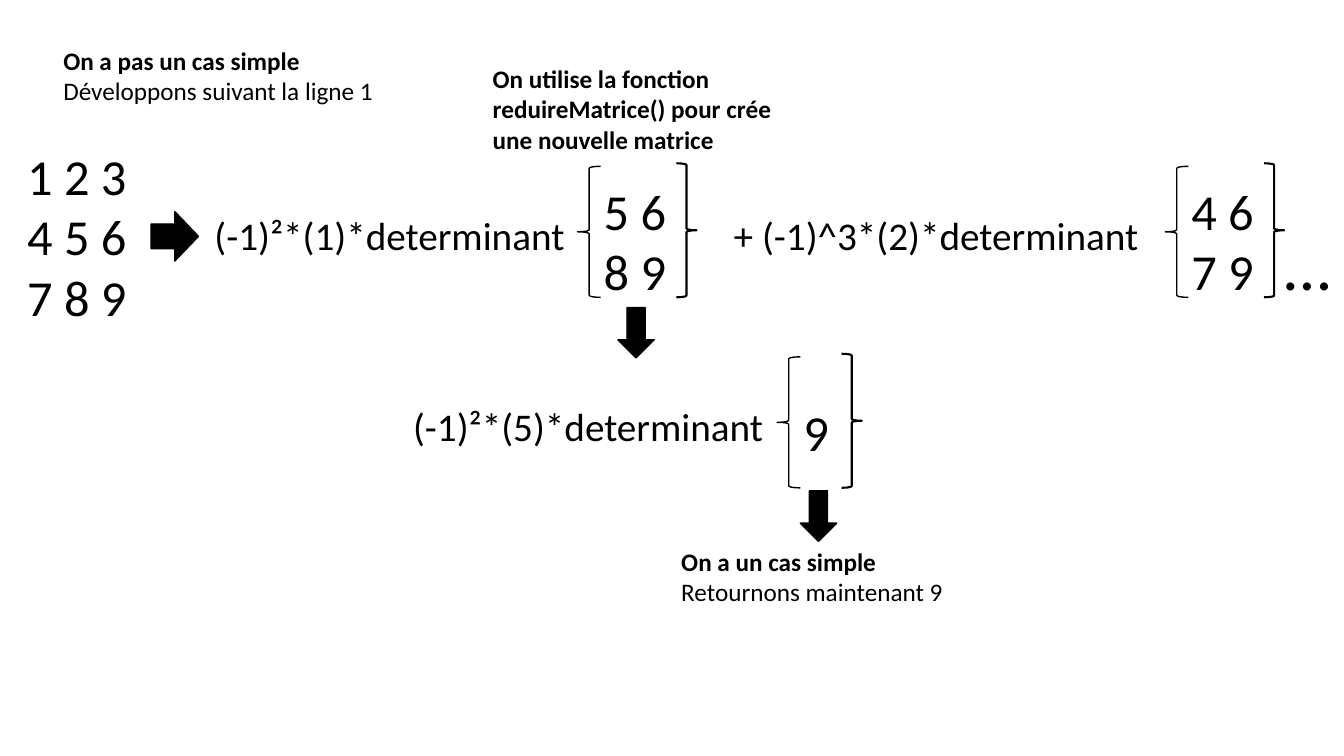
from pptx import Presentation
from pptx.dml.color import RGBColor
from pptx.enum.shapes import MSO_SHAPE
from pptx.enum.text import MSO_ANCHOR, PP_ALIGN
from pptx.util import Inches, Pt

RECT = MSO_SHAPE.RECTANGLE
OPEN, CLOSE = MSO_SHAPE.LEFT_BRACE, MSO_SHAPE.RIGHT_BRACE
RIGHT, DOWN = MSO_SHAPE.RIGHT_ARROW, MSO_SHAPE.DOWN_ARROW
MIDDLE, LEFT = MSO_ANCHOR.MIDDLE, PP_ALIGN.LEFT

THEME = {
    "font": "Calibri",
    "ink": RGBColor(0, 0, 0),
    "paper": RGBColor(255, 255, 255),
    "note": 18, "term": 28, "matrix": 36, "dots": 48,
}

deck = Presentation()
deck.slide_width, deck.slide_height = Inches(13.33), Inches(7.5)
slide = deck.slides.add_slide(deck.slide_layouts[6])

# All places are percent of the slide's width and height
COL, ROW = deck.slide_width / 100, deck.slide_height / 100


def add_form(kind, x, y, w, h, fill=None, line=None):
    form = slide.shapes.add_shape(
        kind, int(x * COL), int(y * ROW), int(w * COL), int(h * ROW))
    form.shadow.inherit = False
    if fill is None:
        form.fill.background()
    else:
        form.fill.solid()
        form.fill.fore_color.rgb = fill
    if line is None:
        form.line.fill.background()
    else:
        form.line.color.rgb = THEME["ink"]
        form.line.width = Pt(line)
    return form


def add_text(text, size, x, y, w, h, wrap=True, form=None):
    box = form or slide.shapes.add_textbox(
        int(x * COL), int(y * ROW), int(w * COL), int(h * ROW))
    frame = box.text_frame
    frame.text = text
    frame.word_wrap = wrap
    for i, para in enumerate(frame.paragraphs):
        para.alignment = LEFT
        for run in para.runs:
            run.font.name = THEME["font"]
            run.font.size = Pt(THEME[size])
            run.font.color.rgb = THEME["ink"]
            run.font.bold = size == "note" and i == 0
    return frame


# Matrices: the full one, then the reduced ones beside their left brace
TOP, LOW = 22, 47.2
matrices = [("1 2 3\n4 5 6\n7 8 9", 1.28, 19.07, 9.68, 24.13)]
braces = [
    ("5 6\n8 9", 42.98, TOP, 6.22, 7.35),
    ("4 6\n7 9", 86.7, TOP, 6.22, 7.35),
    ("9", 57.83, LOW, 4.12, 4.8),
]
for text, x, y, w, span in braces:
    matrices.append((text, x + 1.2, y + 2.27, w, 15.07))
for text, *place in matrices:
    form = add_form(RECT, *place, fill=THEME["paper"])
    add_text(text, "matrix", *place, form=form).vertical_anchor = MIDDLE

# Braces around the reduced matrices
for text, x, y, w, span in braces:
    add_form(OPEN, x, y, 1.72, 17.33, line=1)
    add_form(CLOSE, x + span, y - 0.4, 1.5, 17.73, line=1.5)

# Terms of the expansion
for text, x, y, w in [
    ("(-1)²*(1)*determinant", 15.22, TOP, 28.28),
    ("+ (-1)^3*(2)*determinant", 53.85, TOP, 31.8),
    ("(-1)²*(5)*determinant", 30, LOW, 28.28),
]:
    add_text(text, "term", x, y + 5.33, w, 7.6, wrap=False)
add_text("…", "dots", 94.8, 28.93, 4.2, 12.13, wrap=False)

# Arrows between the steps
for kind, *place in [
    (RIGHT, 11.25, 28, 3.52, 6.53),
    (DOWN, 45.98, 40.67, 2.7, 6.67),
    (DOWN, 59.55, 64.93, 2.7, 6.67),
]:
    add_form(kind, *place, fill=THEME["ink"], line=1)

# Notes
for text, x, y, h in [
    ("On a pas un cas simple\nDéveloppons suivant la ligne 1", 3.97, 5.33, 9.47),
    ("On a un cas simple\nRetournons maintenant 9", 49.95, 71.6, 9.47),
    ("On utilise la fonction reduireMatrice() pour crée une nouvelle matrice",
     35.92, 7.73, 13.47),
]:
    add_text(text, "note", x, y, 25.42, h)

deck.save("out.pptx")
